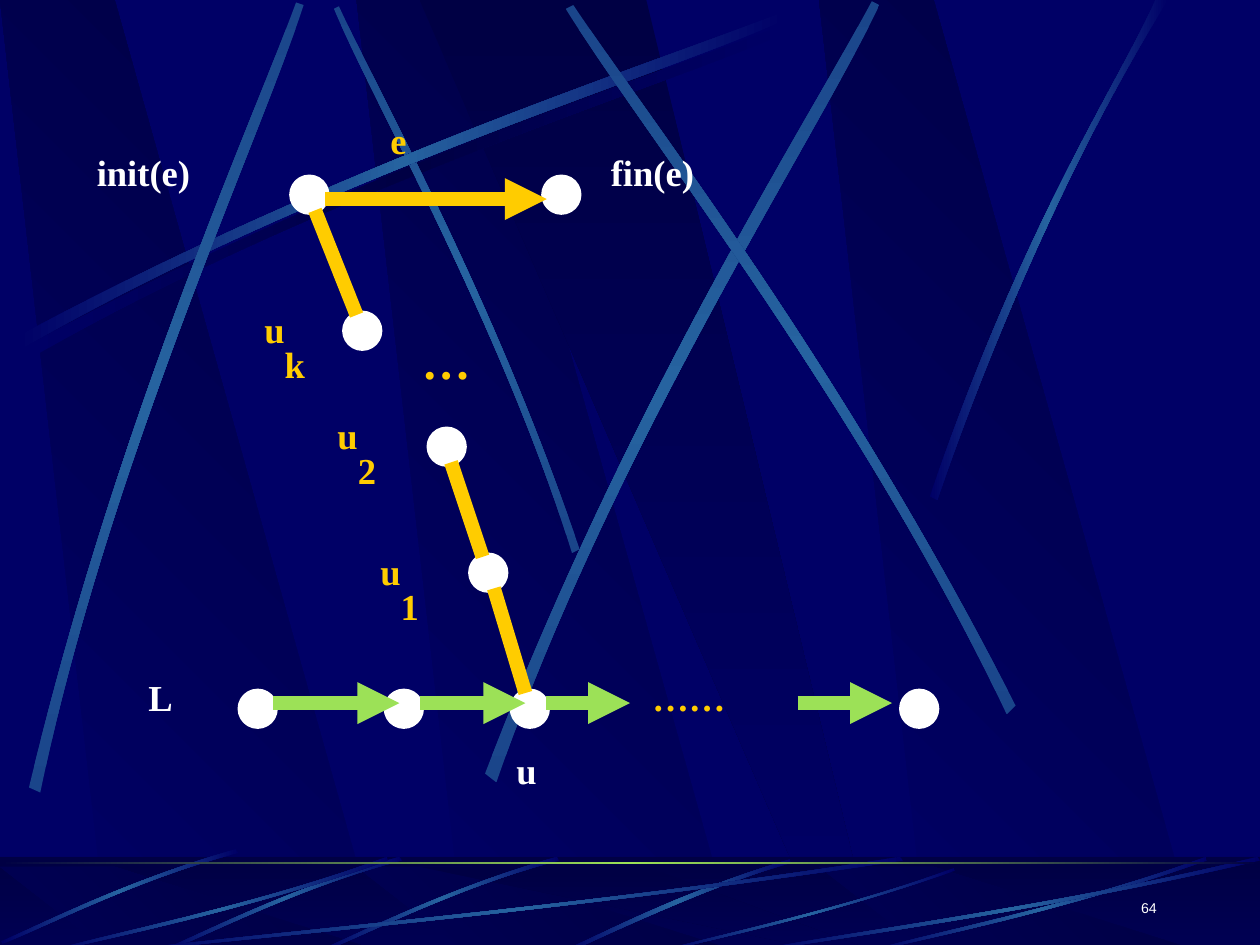
import pptx
import pptx.util
import pptx.oxml
import pptx.oxml.ns
from pptx.dml.color import RGBColor
from pptx.enum.shapes import MSO_SHAPE, MSO_CONNECTOR
from pptx.enum.text import PP_ALIGN, MSO_ANCHOR

PX = 9144
NAVY = RGBColor(0x00, 0x00, 0x66)
DARK = RGBColor(0x00, 0x00, 0x44)
BLUE = RGBColor(0x26, 0x63, 0xA0)
DIM = RGBColor(0x1A, 0x45, 0x8A)
LIME = RGBColor(0x9C, 0xE1, 0x57)
GOLD = RGBColor(0xFF, 0xCC, 0x00)
WHITE = RGBColor(0xFF, 0xFF, 0xFF)

deck = pptx.Presentation()
deck.slide_width = 1000 * PX
deck.slide_height = 750 * PX
slide = deck.slides.add_slide(deck.slide_layouts[6])
slide.background.fill.solid()
slide.background.fill.fore_color.rgb = NAVY
shapes = slide.shapes


def shade(shape, colors, angle):
    shape.shadow.inherit = False
    shape.line.fill.background()
    shape.fill.background()
    last = len(colors) - 1
    stops = "".join(
        f'<a:gs pos="{100000 * i // last}"><a:srgbClr val="{c}"/></a:gs>'
        for i, c in enumerate(colors))
    grad = pptx.oxml.parse_xml(
        f'<a:gradFill {pptx.oxml.ns.nsdecls("a")} rotWithShape="1">'
        f'<a:gsLst>{stops}</a:gsLst><a:lin ang="{angle * 60000}" scaled="0"/></a:gradFill>')
    props = shape._element.spPr
    props.replace(props.find(pptx.oxml.ns.qn("a:noFill")), grad)


def outline(points, curved=False):
    pen = shapes.build_freeform(points[0][0] * PX, points[0][1] * PX, 1.0)
    pen.add_line_segments([(x * PX, y * PX) for x, y in points[1:]], close=True)
    shape = pen.convert_to_shape()
    if curved:
        legs = list(shape._element.iter(pptx.oxml.ns.qn("a:lnTo")))
        for trio in (legs[:3], legs[4:7]):
            bend = pptx.oxml.parse_xml(f'<a:cubicBezTo {pptx.oxml.ns.nsdecls("a")}/>')
            trio[0].addprevious(bend)
            for leg in trio:
                bend.append(leg[0])
                leg.getparent().remove(leg)
    return shape


HIGH = (
    [(20, 275), (284, 134), (524, 59), (626, 18), (629, 24), (528, 69), (254, 151), (23, 285)],
    NAVY, DARK, 0)
STREAKS = [
    HIGH,
    ([(460, 436), (391, 234), (302, 77), (269, 5), (265, 7), (295, 79), (398, 258), (454, 439)],
     DIM, BLUE, 90),
    ([(x - 6, y - 8) for x, y in HIGH[0]], NAVY, BLUE, 0),
    ([(23, 625), (93, 334), (197, 105), (235, 2), (241, 4), (207, 109), (86, 368), (32, 629)],
     DIM, BLUE, 90),
    ([(385, 614), (498, 320), (638, 102), (692, 1), (698, 4), (649, 108), (486, 355), (394, 621)],
     DIM, BLUE, 90),
    ([(806, 560), (670, 293), (516, 95), (455, 4), (449, 7), (507, 101), (685, 325), (799, 567)],
     DIM, BLUE, 90),
    ([(738, 394), (814, 173), (888, 66), (917, 0), (927, 0), (836, 145), (769, 322), (744, 397)],
     NAVY, BLUE, 0),
]
SHORT = [(442, 680), (355, 705), (287, 740), (256, 753),
         (257, 755), (288, 743), (365, 703), (444, 683)]
LONG = [(308, 683), (193, 723), (88, 744), (43, 755),
        (42, 754), (86, 741), (206, 718), (307, 680)]
FLOOR = [
    [(627, 682), (537, 709), (477, 742), (448, 754), (453, 755), (490, 738), (571, 700), (628, 685)],
    SHORT,
    [(x - 125, y) for x, y in SHORT],
    [(x - 255, y - 6) for x, y in SHORT],
    [(717, 683), (449, 723), (206, 744), (103, 755), (100, 754), (202, 741), (480, 718), (714, 680)],
    LONG,
    [(758, 691), (658, 726), (567, 745), (528, 755), (527, 754), (565, 743), (669, 722), (757, 689)],
    [(x + 650, y) for x, y in LONG],
    [(1000, 683), (827, 723), (669, 744), (602, 755), (600, 754), (666, 741), (846, 718), (998, 680)],
]

for top, low, curves in (
        (0, 752, STREAKS),
        (688, 755, [(points, NAVY, BLUE, 0) for points in FLOOR])):
    if top:
        base = shapes.add_shape(MSO_SHAPE.RECTANGLE, 0, 680 * PX, 1000 * PX, 75 * PX)
        shade(base, [DARK, NAVY], 90)
    for left in (283, 0, 650):
        band = outline([(left + 86, low), (left + 302, low), (left + 91, top), (left, top)])
        shade(band, [NAVY, DARK], 315)
    shade(outline([(333, top), (658, low), (694, low), (513, top)]), [DARK, NAVY], 90)
    if top:
        veil = shapes.add_shape(MSO_SHAPE.RECTANGLE, 0, 680 * PX, 1000 * PX, 75 * PX)
        veil.shadow.inherit = False
        veil.line.fill.background()
        veil.fill.solid()
        veil.fill.fore_color.rgb = DARK
        tint = veil._element.spPr.find(".//" + pptx.oxml.ns.qn("a:srgbClr"))
        tint.append(pptx.oxml.parse_xml(f'<a:alpha {pptx.oxml.ns.nsdecls("a")} val="50000"/>'))
    for points, edge, core, angle in curves:
        shade(outline(points, True), [edge, core, edge], angle)

rule = shapes.add_shape(MSO_SHAPE.RECTANGLE, 0, 684 * PX, 1000 * PX, 2 * PX)
shade(rule, [DARK, LIME, DARK], 0)

tree = deck.slide_master.shapes._spTree
for spot, decor in enumerate(list(shapes)):
    decor._element.nvSpPr.cNvPr.set("id", str(100 + spot))
    tree.insert(2 + spot, decor._element)

for x, y in ((233, 142), (275, 250), (342, 342), (375, 442), (717, 550),
             (408, 550), (308, 550), (192, 550), (433, 142)):
    node = shapes.add_shape(MSO_SHAPE.OVAL, x * PX, y * PX, 25 * PX, 25 * PX)
    node.shadow.inherit = False
    node.fill.solid()
    node.fill.fore_color.rgb = WHITE
    node.line.color.rgb = WHITE
    node.line.width = pptx.util.Pt(5)

for x, y, end, drop, color, arrow in (
        (217, 558, 317, 558, LIME, True),
        (333, 558, 417, 558, LIME, True),
        (433, 558, 500, 558, LIME, True),
        (633, 558, 708, 558, LIME, True),
        (417, 550, 392, 467, GOLD, False),
        (383, 442, 358, 367, GOLD, False),
        (283, 250, 250, 167, GOLD, False),
        (258, 158, 434, 158, GOLD, True)):
    edge = shapes.add_connector(MSO_CONNECTOR.STRAIGHT, x * PX, y * PX, end * PX, drop * PX)
    edge.line.color.rgb = color
    edge.line.width = pptx.util.Pt(8)
    if arrow:
        edge.line._get_or_add_ln().append(pptx.oxml.parse_xml(
            f'<a:tailEnd {pptx.oxml.ns.nsdecls("a")} type="triangle"/>'))
    edge._element.spPr.append(pptx.oxml.parse_xml(
        f'<a:effectLst {pptx.oxml.ns.nsdecls("a")}/>'))

for x, y, width, height, text, sub, size, color in (
        (508, 525, 125, 70, "……", "", 36, GOLD),
        (108, 525, 75, 70, "L", "", 36, WHITE),
        (400, 583, 75, 70, "u", "", 36, WHITE),
        (67, 108, 150, 70, "init(e)", "", 36, WHITE),
        (300, 83, 75, 70, "e", "", 36, GOLD),
        (292, 425, 67, 70, "u", "1", 36, GOLD),
        (258, 317, 75, 70, "u", "2", 36, GOLD),
        (200, 233, 75, 70, "u", "k", 36, GOLD),
        (325, 250, 125, 90, "…", "", 48, GOLD),
        (475, 108, 150, 70, "fin(e)", "", 36, WHITE),
        (720, 690, 208, 50, "64", "", 14, WHITE)):
    frame = shapes.add_textbox(x * PX, y * PX, width * PX, height * PX).text_frame
    frame.word_wrap = True
    para = frame.paragraphs[0]
    para.text = text
    if sub:
        para.add_run().text = sub
    page = size == 14
    if page:
        frame.vertical_anchor = MSO_ANCHOR.BOTTOM
        para.alignment = PP_ALIGN.RIGHT
    for run, shift in zip(para.runs, (30000, -25000)):
        run.font.name = "Arial" if page else "Times New Roman"
        run.font.size = pptx.util.Pt(size)
        run.font.bold = not page
        run.font.color.rgb = color
        run._r.get_or_add_rPr().set("baseline", str(shift))

deck.save("out.pptx")
